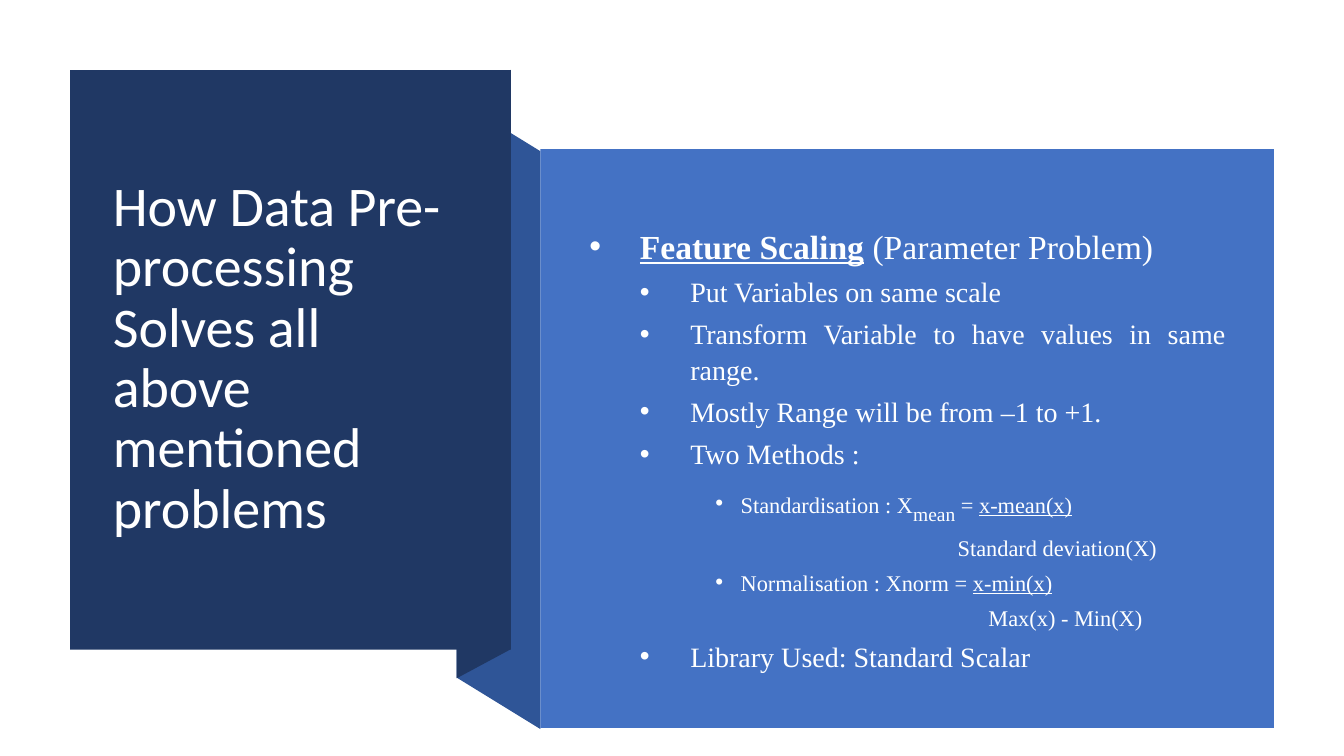
from dataclasses import dataclass

from lxml.etree import SubElement
from pptx import Presentation
from pptx.dml.color import RGBColor as Rgb
from pptx.enum.shapes import MSO_SHAPE as Preset
from pptx.enum.text import MSO_ANCHOR as Anchor, PP_ALIGN as Align
from pptx.oxml.ns import qn
from pptx.util import Pt


@dataclass(frozen=True)
class Theme:
    navy: str = "203864"
    fold: str = "2F5597"
    blue: str = "4472C4"
    title_ink: str = "FFFFFF"
    body_ink: str = "FEFFFF"
    title_font: str = "Calibri"
    body_font: str = "Times New Roman"
    title_size: int = 40
    topic_size: int = 24
    point_size: int = 20
    formula_size: int = 16
    subscript_size: int = 24


theme = Theme()

SLIDE = (960, 540)
TITLE = "How Data Pre-processing Solves all above mentioned problems"
TITLE_BOX = (73.5, 77, 267, 359)
BODY_BOX = (414, 156.25, 468.75, 341)
TITLE_PANEL = (50, 50, 315, 414)
BODY_PANEL = (386, 106.5, 524, 413.5)
FOLDS = [
    (theme.fold, [(386, 520.75), (326.25, 484), (326.25, 71.25), (386, 108)]),
    (theme.navy, [(364.5, 464), (326.25, 484.5), (326.25, 70.5), (364.5, 50)]),
]

LEVELS = {
    "topic": (theme.topic_size, 36, -36, 10),
    "point": (theme.point_size, 72, -36, 5),
    "formula": (theme.formula_size, 108, -18, 5),
    "deviation": (theme.formula_size, 263, 0, 5),
    "range": (theme.formula_size, 285, 0, 5),
}
BODY = [
    ("topic", [("Feature Scaling", "heading"), (" (Parameter Problem)", "")]),
    ("point", [("Put Variables on same scale", "")]),
    ("point", [("Transform Variable to have values in same range.", "")]),
    ("point", [("Mostly Range will be from –1 to +1.", "")]),
    ("point", [("Two Methods :", "")]),
    ("formula", [("Standardisation : X", ""), ("mean", "subscript"),
                 (" = ", ""), ("x-mean(x)", "numerator")]),
    ("deviation", [("Standard deviation(X)", "")]),
    ("formula", [("Normalisation : Xnorm = ", ""), ("x-min(x)", "numerator")]),
    ("range", [("Max(x) - Min(X)", "")]),
    ("point", [("Library Used: Standard Scalar", "")]),
]


def paint(panel, color):
    panel.shadow.inherit = False
    panel.fill.solid()
    panel.fill.fore_color.rgb = Rgb.from_string(color)
    panel.line.fill.background()


def add_panel(slide, box, color):
    paint(slide.shapes.add_shape(Preset.RECTANGLE, *map(Pt, box)), color)


def add_fold(slide, color, corners):
    first, *rest = [(Pt(x), Pt(y)) for x, y in corners]
    outline = slide.shapes.build_freeform(*first)
    outline.add_line_segments(rest, close=True)
    paint(outline.convert_to_shape(), color)


def add_frame(slide, box):
    frame = slide.shapes.add_textbox(*map(Pt, box)).text_frame
    frame.word_wrap = True
    return frame


def set_font(paragraph, name, size, color):
    paragraph.font.name = name
    paragraph.font.size = Pt(size)
    paragraph.font.color.rgb = Rgb.from_string(color)


def add_title(slide):
    frame = add_frame(slide, TITLE_BOX)
    frame.vertical_anchor = Anchor.MIDDLE
    heading = frame.paragraphs[0]
    heading.text = TITLE
    heading.line_spacing = 0.9
    set_font(heading, theme.title_font, theme.title_size, theme.title_ink)


def add_piece(paragraph, words, role):
    piece = paragraph.add_run()
    piece.text = words
    if role == "heading":
        piece.font.bold = True
    if role in ("heading", "numerator"):
        piece.font.underline = True
    if role == "subscript":
        piece.font.size = Pt(theme.subscript_size)
        piece._r.get_or_add_rPr().set("baseline", "-25000")


def add_body(slide):
    frame = add_frame(slide, BODY_BOX)
    for index, (level, pieces) in enumerate(BODY):
        entry = frame.add_paragraph() if index else frame.paragraphs[0]
        size, margin, hang, gap = LEVELS[level]
        entry.alignment = Align.JUSTIFY
        entry.line_spacing = 1.05
        entry.space_before = Pt(gap)
        set_font(entry, theme.body_font, size, theme.body_ink)
        settings = entry._p.get_or_add_pPr()
        settings.set("marL", str(Pt(margin)))
        settings.set("indent", str(Pt(hang)))
        if hang:
            bullet_font = SubElement(settings, qn("a:buFont"), typeface="Arial")
            bullet_font.addnext(SubElement(settings, qn("a:buChar"), char="•"))
            defaults = settings.find(qn("a:defRPr"))
            if defaults is not None:
                settings.append(defaults)
        for words, role in pieces:
            add_piece(entry, words, role)


def main():
    deck = Presentation()
    deck.slide_width, deck.slide_height = map(Pt, SLIDE)
    slide = deck.slides.add_slide(deck.slide_layouts[6])
    for color, corners in FOLDS:
        add_fold(slide, color, corners)
    add_panel(slide, TITLE_PANEL, theme.navy)
    add_title(slide)
    add_panel(slide, BODY_PANEL, theme.blue)
    add_body(slide)
    deck.save("out.pptx")


if __name__ == "__main__":
    main()
